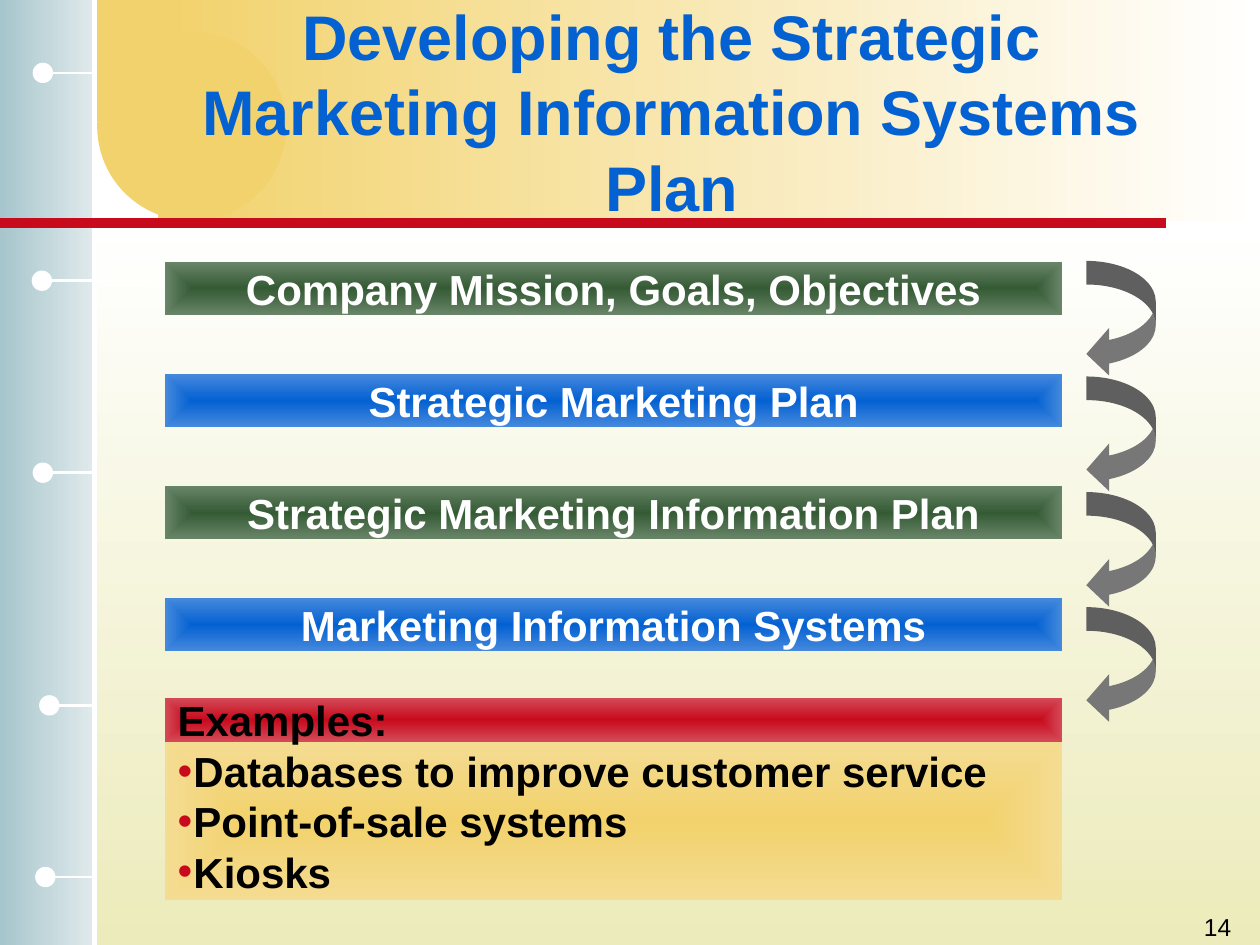
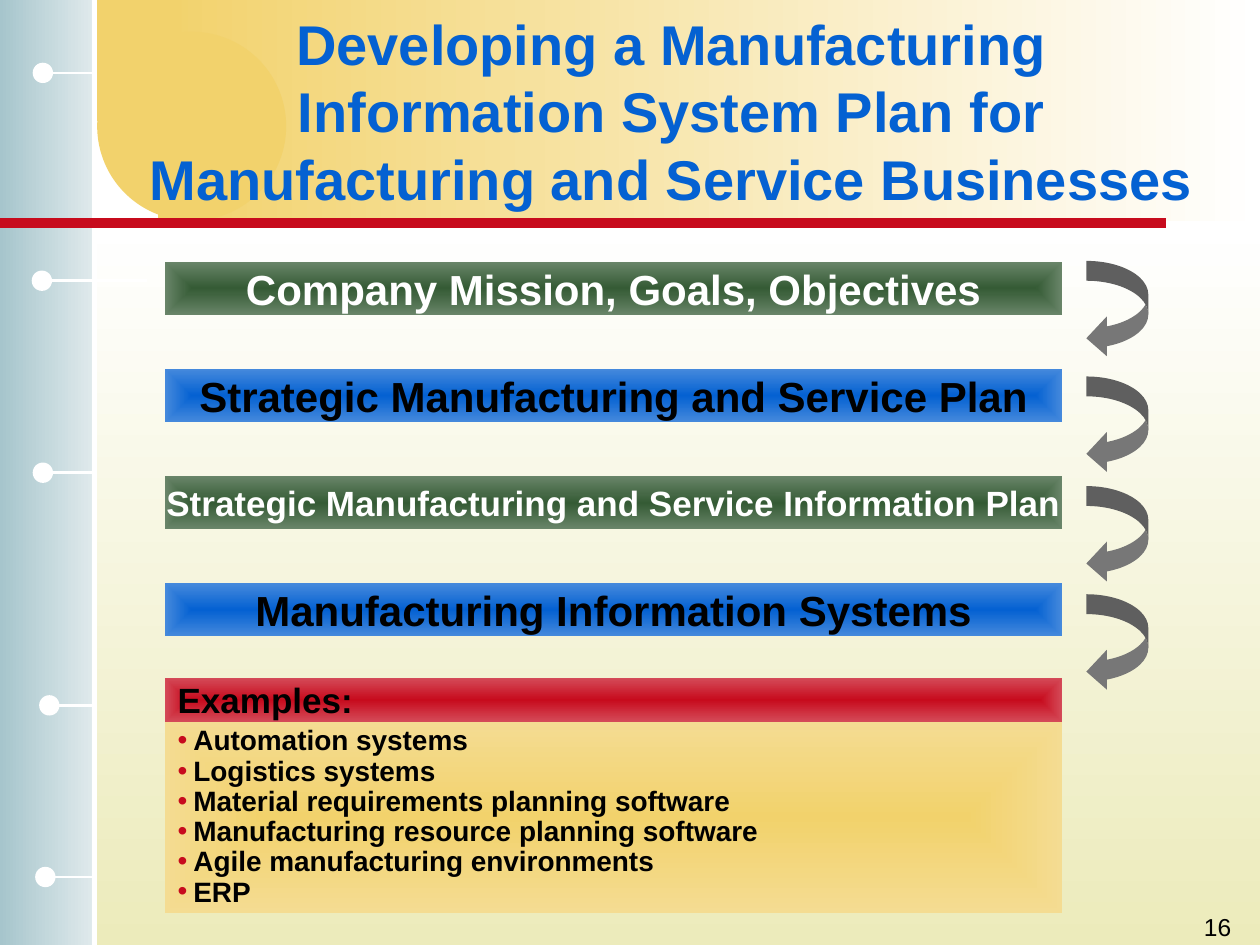
from dataclasses import dataclass

from lxml import etree
from pptx import Presentation
from pptx.dml.color import RGBColor
from pptx.enum.shapes import MSO_CONNECTOR, MSO_SHAPE
from pptx.enum.text import MSO_ANCHOR, PP_ALIGN
from pptx.oxml.ns import qn
from pptx.shapes.autoshape import Shape
from pptx.slide import Slide
from pptx.text.text import TextFrame
from pptx.util import Cm, Pt

RECTANGLE, ELLIPSE = MSO_SHAPE.RECTANGLE, MSO_SHAPE.OVAL
CURVED_ARROW = MSO_SHAPE.CURVED_LEFT_ARROW
STRAIGHT = MSO_CONNECTOR.STRAIGHT
LEFT, CENTER, RIGHT = PP_ALIGN.LEFT, PP_ALIGN.CENTER, PP_ALIGN.RIGHT
TOP, MIDDLE = MSO_ANCHOR.TOP, MSO_ANCHOR.MIDDLE

FONT = "Arial"
WHITE, BLACK, GRAY = "FFFFFF", "000000", "777777"
GOLD, RED, BLUE = "F2D26C", "C70B1D", "0461D2"
GREEN_FILL = ("355B35", "698569")
BLUE_FILL = (BLUE, "4589DC")
RED_FILL = (RED, "D44A58")
GOLD_FILL = (GOLD, "F4DC92")

SLIDE_WIDTH, SLIDE_HEIGHT = 25.4, 19.05
RULE_Y = 4.5
BAR_LEFT, BAR_WIDTH, BAR_HEIGHT = 3.33, 18.08, 1.07
FIRST_BAR_TOP = 5.28
LABEL_HEIGHT = 0.88
ARROW_LEFT = 21.9
DOT_SIZE = 0.41


@dataclass(frozen=True)
class Box:
    """A rectangle in centimetres."""
    left: float
    top: float
    width: float
    height: float

    def lengths(self) -> tuple[Cm, Cm, Cm, Cm]:
        return Cm(self.left), Cm(self.top), Cm(self.width), Cm(self.height)


@dataclass(frozen=True)
class TextStyle:
    size: float
    color: str
    bold: bool = True
    align: PP_ALIGN = LEFT
    anchor: MSO_ANCHOR = MIDDLE
    wrap: bool = True
    bulleted: bool = False
    line_spacing: float = 1.0


@dataclass(frozen=True)
class Pin:
    """A dot on the side strip with a line to the strip's edge."""
    y: float
    dot_left: float
    line_left: float
    line_right: float


@dataclass(frozen=True)
class Bar:
    text: str
    fill: tuple[str, str]
    color: str = WHITE
    size: float = 24


@dataclass(frozen=True)
class Arrows:
    tops: tuple[float, ...]
    width: float
    height: float
    adjustments: tuple[float, float, float]


@dataclass(frozen=True)
class Examples:
    items: tuple[str, ...]
    top: float
    list_height: float
    label_size: float
    item_size: float
    line_spacing: float


@dataclass(frozen=True)
class PlanSlide:
    title: str
    title_size: float
    bars: tuple[Bar, ...]
    bar_pitch: float
    arrows: Arrows
    examples: Examples
    number: str


PINS = (
    Pin(5.66, 0.64, 0.84, 2.97),
    Pin(1.47, 0.66, 1.07, 1.9),
    Pin(9.53, 0.66, 1.02, 1.85),
    Pin(14.22, 0.79, 1.07, 1.9),
    Pin(17.68, 0.71, 1.02, 1.85),
)

PLAN_SLIDES = (
    PlanSlide(
        title="Developing the Strategic Marketing Information Systems Plan",
        title_size=36,
        bars=(
            Bar("Company Mission, Goals, Objectives", GREEN_FILL),
            Bar("Strategic Marketing Plan", BLUE_FILL),
            Bar("Strategic Marketing Information Plan", GREEN_FILL),
            Bar("Marketing Information Systems", BLUE_FILL),
        ),
        bar_pitch=2.26,
        arrows=Arrows((5.26, 7.59, 9.92, 12.24), 1.4, 2.36, (0.34, 0.69, 0.33)),
        examples=Examples(
            ("Databases to improve customer service", "Point-of-sale systems", "Kiosks"),
            top=14.07, list_height=3.2, label_size=24, item_size=24, line_spacing=1.0),
        number="14",
    ),
    PlanSlide(
        title="Developing a Manufacturing Information System Plan for "
              "Manufacturing and Service Businesses",
        title_size=32,
        bars=(
            Bar("Company Mission, Goals, Objectives", GREEN_FILL),
            Bar("Strategic Manufacturing and Service Plan", BLUE_FILL, BLACK),
            Bar("Strategic Manufacturing and Service Information Plan", GREEN_FILL, size=20),
            Bar("Manufacturing Information Systems", BLUE_FILL, BLACK),
        ),
        bar_pitch=2.16,
        arrows=Arrows((5.26, 7.59, 9.8, 11.98), 1.25, 1.96, (0.32, 0.64, 0.33)),
        examples=Examples(
            ("Automation systems", "Logistics systems",
             "Material requirements planning software",
             "Manufacturing resource planning software",
             "Agile manufacturing environments", "ERP"),
            top=13.67, list_height=3.86, label_size=20, item_size=16, line_spacing=0.9),
        number="16",
    ),
)


def rgb(color: str) -> RGBColor:
    return RGBColor.from_string(color)


# Shapes, lines and fills

def add_shape(slide: Slide, kind: MSO_SHAPE, box: Box, color: str | None = None) -> Shape:
    shape = slide.shapes.add_shape(kind, *box.lengths())
    shape.shadow.inherit = False
    shape.line.fill.background()
    if color:
        shape.fill.solid()
        shape.fill.fore_color.rgb = rgb(color)
    return shape


def add_gradient(slide: Slide, box: Box, colors: tuple[str, str],
                 angle: float | None = None) -> Shape:
    """Fill along the angle, or outwards from the centre without one."""
    shape = add_shape(slide, RECTANGLE, box)
    shape.fill.gradient()
    for stop, color in zip(shape.fill.gradient_stops, colors):
        stop.color.rgb = rgb(color)
    if angle is not None:
        shape.fill.gradient_angle = angle
        return shape
    gradient = shape._element.spPr.find(qn("a:gradFill"))
    linear = gradient.find(qn("a:lin"))
    radial = etree.Element(qn("a:path"), {"path": "rect"})
    etree.SubElement(radial, qn("a:fillToRect"), {side: "50000" for side in "ltrb"})
    gradient.replace(linear, radial)
    return shape


def add_line(slide: Slide, start: tuple[float, float], end: tuple[float, float],
             color: str, weight: float) -> None:
    points = [Cm(value) for value in (*start, *end)]
    connector = slide.shapes.add_connector(STRAIGHT, *points)
    connector.line.color.rgb = rgb(color)
    connector.line.width = Pt(weight)
    etree.SubElement(connector._element.spPr, qn("a:effectLst"))


# Text

def add_bullet(paragraph) -> None:
    properties = paragraph._p.get_or_add_pPr()
    properties.set("marL", str(Cm(0.32)))
    properties.set("indent", str(-Cm(0.32)))
    bullet_color = etree.SubElement(properties, qn("a:buClr"))
    etree.SubElement(bullet_color, qn("a:srgbClr"), {"val": RED})
    etree.SubElement(properties, qn("a:buFont"), {"typeface": FONT})
    etree.SubElement(properties, qn("a:buChar"), {"char": "•"})


def write(text_frame: TextFrame, text: str, style: TextStyle) -> None:
    text_frame.text = text
    text_frame.word_wrap = style.wrap
    text_frame.vertical_anchor = style.anchor
    for paragraph in text_frame.paragraphs:
        if style.bulleted:
            add_bullet(paragraph)
        paragraph.alignment = style.align
        paragraph.line_spacing = style.line_spacing
        for run in paragraph.runs:
            run.font.name = FONT
            run.font.size = Pt(style.size)
            run.font.bold = style.bold
            run.font.color.rgb = rgb(style.color)


def add_text(slide: Slide, box: Box, text: str, style: TextStyle) -> None:
    write(slide.shapes.add_textbox(*box.lengths()).text_frame, text, style)


# Parts of the slides

def draw_background(slide: Slide) -> None:
    add_gradient(slide, Box(1.85, RULE_Y, 23.55, 14.55), (WHITE, "ECEBBB"), 270)
    add_gradient(slide, Box(0, 0, 1.9, SLIDE_HEIGHT), ("E0EAEC", "A6C5CC"), 180)
    add_gradient(slide, Box(3.18, 0, 22.22, 4.45), (WHITE, GOLD), 180)
    add_shape(slide, ELLIPSE, Box(1.96, 0.64, 3.81, 3.81), GOLD)
    add_shape(slide, RECTANGLE, Box(1.96, 0, 1.7, 2.44), GOLD)
    add_line(slide, (1.9, 0), (1.9, SLIDE_HEIGHT), WHITE, 3)
    add_line(slide, (0, RULE_Y), (23.5, RULE_Y), RED, 6)
    for pin in PINS:
        add_line(slide, (pin.line_right, pin.y), (pin.line_left, pin.y), WHITE, 1.5)
        dot = Box(pin.dot_left, pin.y - DOT_SIZE / 2, DOT_SIZE, DOT_SIZE)
        add_shape(slide, ELLIPSE, dot, WHITE)


def draw_examples(slide: Slide, examples: Examples) -> None:
    list_box = Box(BAR_LEFT, examples.top + LABEL_HEIGHT, BAR_WIDTH, examples.list_height)
    write(add_gradient(slide, list_box, GOLD_FILL).text_frame, "\n".join(examples.items),
          TextStyle(examples.item_size, BLACK, bulleted=True,
                    line_spacing=examples.line_spacing))
    label_box = Box(BAR_LEFT, examples.top, BAR_WIDTH, LABEL_HEIGHT)
    write(add_gradient(slide, label_box, RED_FILL).text_frame, "Examples:",
          TextStyle(examples.label_size, BLACK))


def draw_bars(slide: Slide, bars: tuple[Bar, ...], pitch: float) -> None:
    for index, bar in enumerate(bars):
        box = Box(BAR_LEFT, FIRST_BAR_TOP + index * pitch, BAR_WIDTH, BAR_HEIGHT)
        write(add_gradient(slide, box, bar.fill).text_frame, bar.text,
              TextStyle(bar.size, bar.color, align=CENTER, wrap=False))


def draw_arrows(slide: Slide, arrows: Arrows) -> None:
    for top in arrows.tops:
        box = Box(ARROW_LEFT, top, arrows.width, arrows.height)
        arrow = add_shape(slide, CURVED_ARROW, box, GRAY)
        for index, value in enumerate(arrows.adjustments):
            arrow.adjustments[index] = value


def draw_plan(slide: Slide, plan: PlanSlide) -> None:
    draw_background(slide)
    add_text(slide, Box(2.74, 0.64, 21.6, 3.18), plan.title,
             TextStyle(plan.title_size, BLUE, align=CENTER))
    draw_examples(slide, plan.examples)
    draw_bars(slide, plan.bars, plan.bar_pitch)
    draw_arrows(slide, plan.arrows)
    add_text(slide, Box(19.79, 18.26, 5.28, 1.27), plan.number,
             TextStyle(14, BLACK, bold=False, align=RIGHT, anchor=TOP))


def main() -> None:
    presentation = Presentation()
    presentation.slide_width = Cm(SLIDE_WIDTH)
    presentation.slide_height = Cm(SLIDE_HEIGHT)
    blank_layout = presentation.slide_layouts[6]
    for plan in PLAN_SLIDES:
        draw_plan(presentation.slides.add_slide(blank_layout), plan)
    presentation.save("out.pptx")


if __name__ == "__main__":
    main()
